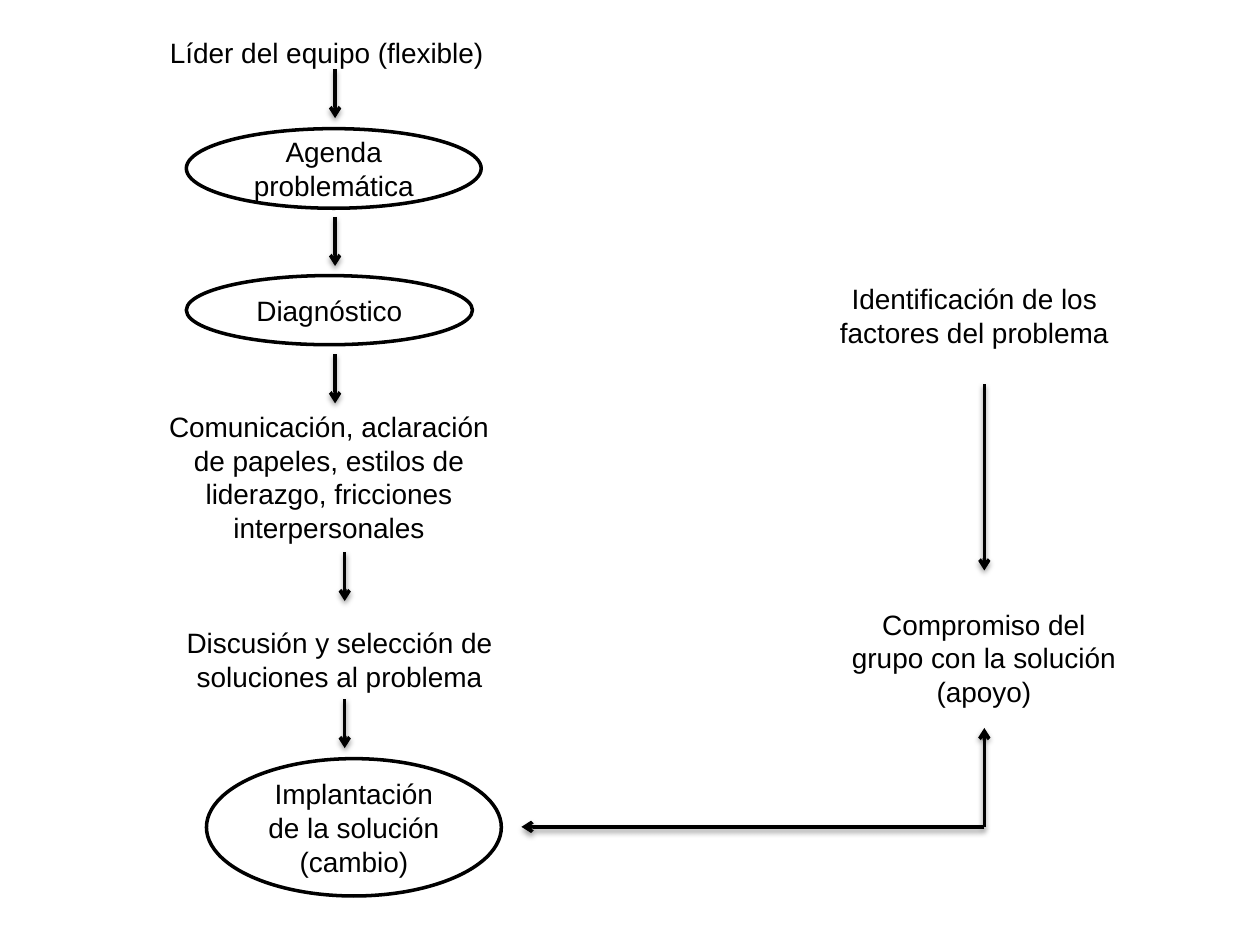
"""Build a flow diagram of team problem solving on one slide."""
from lxml.etree import SubElement
from pptx import Presentation
from pptx.dml.color import RGBColor
from pptx.enum.shapes import MSO_CONNECTOR as Connector, MSO_SHAPE as Shape
from pptx.enum.text import MSO_ANCHOR as Anchor, MSO_AUTO_SIZE as AutoSize, PP_ALIGN as Align
from pptx.oxml.ns import qn
from pptx.util import Pt

BLACK = RGBColor(0, 0, 0)
WHITE = RGBColor(255, 255, 255)
FONT, TEXT_SIZE, LINE_WIDTH = "Arial", 16, 2

STAGES = [
    ("Agenda problemática", 106.5, 73.5, 168.5, 45.5),
    ("Diagnóstico", 106.5, 157.5, 163.5, 39.5),
    ("Implantación de la solución (cambio)", 118, 433.5, 168.5, 78.5),
]
LABELS = [
    ("Líder del equipo (flexible)", 90, 16.5, 225.5, 26.5, Align.LEFT),
    ("Comunicación, aclaración de papeles, estilos de liderazgo, fricciones interpersonales",
     84, 230.5, 208, 85, Align.CENTER),
    ("Discusión y selección de soluciones al problema", 90, 354, 208, 46, Align.CENTER),
    ("Identificación de los factores del problema", 472.5, 157.5, 168.5, 46, Align.CENTER),
    ("Compromiso del grupo con la solución (apoyo)", 478, 343.5, 168.5, 65.5, Align.CENTER),
]
STEP = 28
STEP_STARTS = [(191.5, 39.5), (191.5, 124), (191.5, 202.5), (197, 315.5), (197, 399.5)]
RIGHT, CORNER = 562.5, 472.5
ARROWS = [(x, y, x, y + STEP) for x, y in STEP_STARTS] + [
    (RIGHT, 219.5, RIGHT, 326),
    (RIGHT, CORNER, 298, CORNER),
    (RIGHT, CORNER, RIGHT, 416),
]


def write(shape, text, align):
    frame = shape.text_frame
    frame.text = text
    frame.word_wrap = True
    para = frame.paragraphs[0]
    para.alignment = align
    font = para.runs[0].font
    font.name, font.size = FONT, Pt(TEXT_SIZE)
    font.color.rgb = BLACK
    return frame


def outline(shape):
    shape.line.color.rgb = BLACK
    shape.line.width = Pt(LINE_WIDTH)


def add_stage(page, text, *bounds):
    oval = page.shapes.add_shape(Shape.OVAL, *map(Pt, bounds))
    oval.shadow.inherit = False
    oval.fill.solid()
    oval.fill.fore_color.rgb = WHITE
    outline(oval)
    write(oval, text, Align.CENTER).vertical_anchor = Anchor.MIDDLE


def add_label(page, text, left, top, width, height, align):
    box = page.shapes.add_textbox(*map(Pt, (left, top, width, height)))
    write(box, text, align).auto_size = AutoSize.SHAPE_TO_FIT_TEXT


def add_arrow(page, *ends):
    arrow = page.shapes.add_connector(Connector.STRAIGHT, *map(Pt, ends))
    outline(arrow)
    SubElement(arrow.line._get_or_add_ln(), qn("a:tailEnd"), type="arrow")
    effects = SubElement(arrow._element.spPr, qn("a:effectLst"))
    shadow = SubElement(effects, qn("a:outerShdw"), blurRad=str(Pt(3.1)),
                        dist=str(Pt(1.6)), dir="5400000", rotWithShape="0")
    color = SubElement(shadow, qn("a:srgbClr"), val=str(BLACK))
    SubElement(color, qn("a:alpha"), val="38000")


def main():
    deck = Presentation()
    deck.slide_width, deck.slide_height = Pt(720), Pt(540)
    page = deck.slides.add_slide(deck.slide_layouts[6])
    for add, items in ((add_stage, STAGES), (add_label, LABELS), (add_arrow, ARROWS)):
        for item in items:
            add(page, *item)
    deck.save("out.pptx")


if __name__ == "__main__":
    main()
